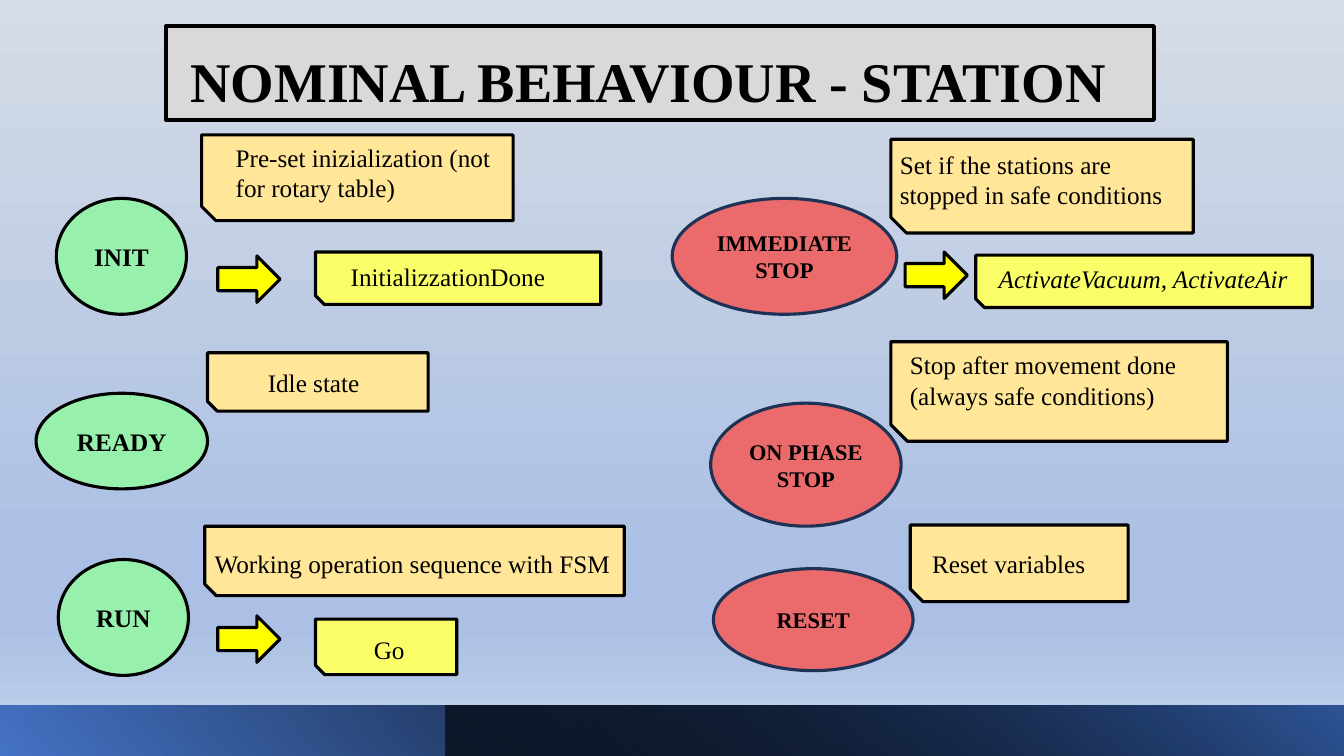
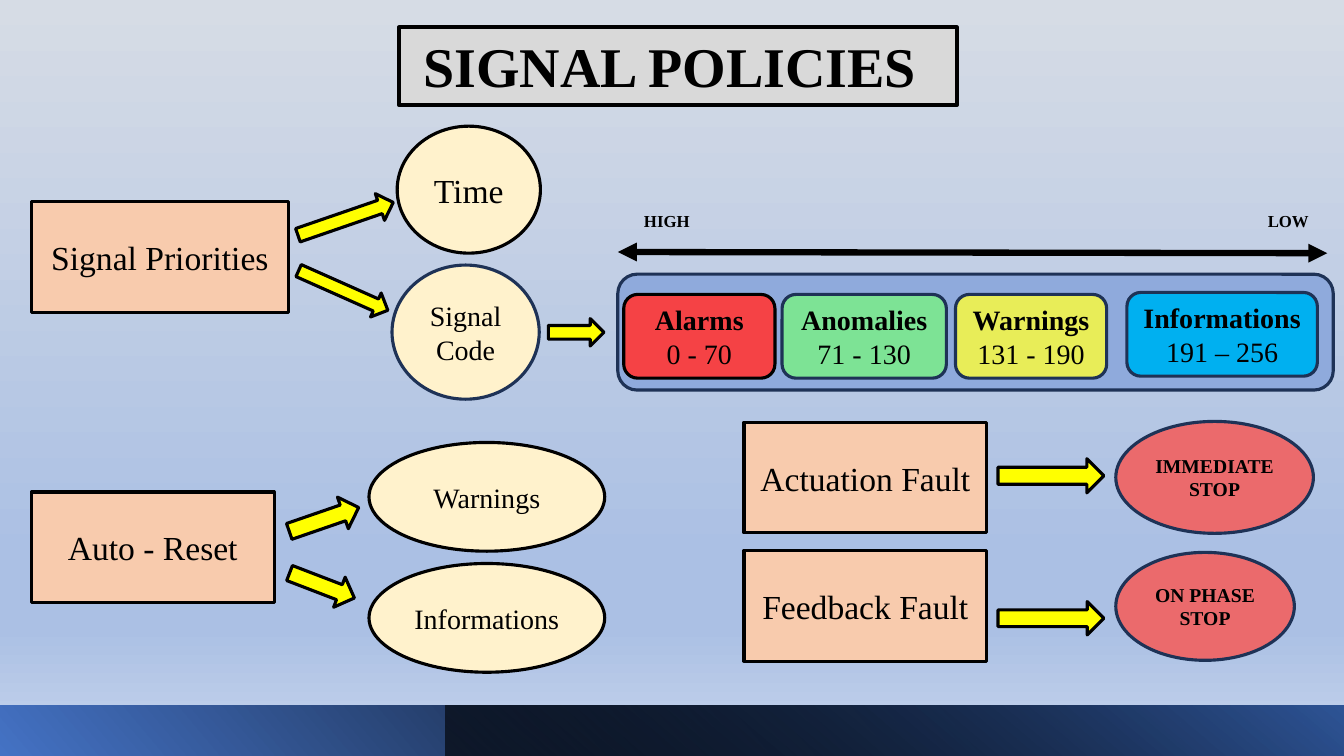
"""Build the station behaviour and signal policy slides."""
from dataclasses import dataclass

from lxml.etree import SubElement
from pptx import Presentation
from pptx.dml.color import RGBColor
from pptx.enum.shapes import MSO_CONNECTOR, MSO_SHAPE
from pptx.enum.text import MSO_ANCHOR, MSO_AUTO_SIZE, PP_ALIGN
from pptx.oxml.ns import qn
from pptx.util import Cm, Pt


@dataclass(frozen=True)
class Theme:
    """Colours, type sizes and line widths of the deck."""
    font: str = "Times New Roman"
    black: str = "000000"
    navy: str = "1E3256"
    grey: str = "D9D9D9"
    green: str = "97F0AC"
    red: str = "EB6A6C"
    sand: str = "FFE699"
    lemon: str = "FAFF69"
    yellow: str = "FFFF00"
    cream: str = "FFF2CC"
    peach: str = "F8CBAD"
    panel: str = "8FAADC"
    alarm: str = "F54245"
    anomaly: str = "7DE395"
    warning: str = "E8ED58"
    information: str = "00B0F0"
    title_size: int = 40
    topic_size: int = 24
    code_size: int = 20
    body_size: int = 18
    stop_size: int = 16
    small_stop_size: int = 14
    scale_size: int = 12
    title_line: float = 3
    shape_line: float = 2.25
    scale_line: float = 4.5


THEME = Theme()
PAGE_WIDTH, PAGE_HEIGHT = 33.87, 19.05
BAND_TOP, BAND_HEIGHT, BAND_SPLIT = 17.78, 1.27, 11.22

BACKDROP = {"stops": [(0, "D6DCE5", 100), (74, "ABC0E4", 100), (83, "ABC0E4", 100),
                      (100, "C7D5ED", 100)], "angle": 90}
BANDS = [
    {"left": 0, "rotation": 180, "angle": 40,
     "stops": [(0, "4472C4", 100), (78, "000000", 100)]},
    {"left": BAND_SPLIT, "rotation": 0, "angle": 230,
     "stops": [(0, "000000", 63), (100, "2F5597", 100)]},
]

ELLIPSE, SNIPPED = MSO_SHAPE.OVAL, MSO_SHAPE.SNIP_1_RECTANGLE
STATE = {"preset": ELLIPSE, "fill": THEME.green, "size": THEME.body_size, "bold": True}
STOP = {"preset": ELLIPSE, "fill": THEME.red, "line": THEME.navy,
        "size": THEME.stop_size, "bold": True}
SMALL_STOP = {**STOP, "size": THEME.small_stop_size}
NOTE = {"preset": SNIPPED, "fill": THEME.sand, "rotation": 180}
SIGNAL = {**NOTE, "fill": THEME.lemon}
ARROW = {"preset": MSO_SHAPE.RIGHT_ARROW, "fill": THEME.yellow}
TOPIC = {"preset": MSO_SHAPE.RECTANGLE, "fill": THEME.peach, "size": THEME.topic_size}
OPTION = {"preset": ELLIPSE, "fill": THEME.cream, "size": THEME.code_size}
CODE = {"preset": MSO_SHAPE.ROUNDED_RECTANGLE, "line": THEME.navy,
        "size": THEME.code_size, "bold": True}

STATION_TITLE = ("NOMINAL BEHAVIOUR - STATION", (4.19, 0.66, 24.89, 2.36))
STATES = [
    (STATE, "INIT", (1.42, 5, 3.28, 2.92)),
    (STATE, "READY", (0.91, 9.91, 4.32, 2.41)),
    (STATE, "RUN", (1.47, 14.1, 3.28, 2.92)),
    (STOP, "IMMEDIATE STOP", (16.94, 5, 5.66, 2.92)),
    (STOP, "ON PHASE STOP", (17.91, 10.16, 4.8, 3.1)),
    (STOP, "RESET", (17.98, 14.33, 5.03, 2.57)),
]
NOTES = [
    (NOTE, (5.08, 3.4, 7.85, 2.16), "Pre-set inizialization (not for rotary table)",
     (5.69, 3.45, 7.19, 1.8), False),
    (NOTE, (5.23, 8.89, 5.56, 1.47), "Idle state", (6.5, 9.14, 3.3, 1.02), False),
    (NOTE, (5.16, 13.26, 10.57, 1.75), "Working operation sequence with FSM",
     (5.16, 13.69, 11, 1.02), False),
    (NOTE, (22.45, 3.51, 7.62, 2.36), "Set if the stations are stopped in safe conditions",
     (22.43, 3.63, 7.29, 1.8), False),
    (NOTE, (22.45, 8.61, 8.48, 2.51), "Stop after movement done (always safe conditions)",
     (22.68, 8.69, 7.87, 1.8), False),
    (NOTE, (22.94, 13.23, 5.49, 1.93), "Reset variables", (23.24, 13.69, 4.6, 1.02), False),
    (SIGNAL, (7.95, 6.35, 7.19, 1.32), "InitializzationDone", (8.59, 6.45, 5.87, 1.02), False),
    (SIGNAL, (7.95, 15.6, 3.56, 1.4), "Go", (9.17, 15.85, 1.5, 1.02), False),
    (SIGNAL, (24.59, 6.43, 8.48, 1.32), "ActivateVacuum, ActivateAir",
     (24.92, 6.5, 7.9, 1.02), True),
]
STATION_ARROWS = [(left, top, 1.57, 1.17)
                  for left, top in [(5.49, 6.45), (5.49, 15.52), (22.81, 6.35)]]

POLICY_TITLE = ("SIGNAL POLICIES", (10.06, 0.69, 14.05, 1.96))
POLICIES = [
    (TOPIC, "Signal Priorities", (0.79, 5.08, 6.48, 2.79)),
    (TOPIC, "Auto - Reset", (0.79, 12.4, 6.12, 2.79)),
    (TOPIC, "Actuation Fault", (18.75, 10.64, 6.12, 2.79)),
    (TOPIC, "Feedback Fault", (18.75, 13.87, 6.12, 2.79)),
    ({**OPTION, "size": THEME.topic_size}, "Time", (10.01, 3.18, 3.61, 3.2)),
    ({**OPTION, "line": THEME.navy}, "Signal Code", (9.88, 6.68, 3.71, 3.38)),
    (OPTION, "Warnings", (9.3, 11.15, 5.94, 2.74)),
    (OPTION, "Informations", (9.3, 14.2, 5.94, 2.74)),
    (SMALL_STOP, "IMMEDIATE STOP", (28.12, 10.62, 4.98, 2.82)),
    (SMALL_STOP, "ON PHASE STOP", (28.12, 13.92, 4.5, 2.72)),
    ({**CODE, "fill": THEME.panel}, "", (15.57, 6.91, 18.03, 2.92)),
    ({**CODE, "fill": THEME.alarm, "line": THEME.black}, "Alarms\n0 - 70",
     (15.72, 7.42, 3.81, 2.11)),
    ({**CODE, "fill": THEME.anomaly}, "Anomalies\n71 - 130", (19.71, 7.42, 4.14, 2.11)),
    ({**CODE, "fill": THEME.warning}, "Warnings\n131 - 190", (24.08, 7.42, 3.81, 2.11)),
    ({**CODE, "fill": THEME.information}, "Informations\n191 – 256", (28.4, 7.37, 4.8, 2.11)),
]
POLICY_ARROWS = [
    (341, (7.44, 5.16, 2.54, 0.71)),
    (24, (7.42, 6.99, 2.46, 0.66)),
    (341, (7.24, 12.67, 1.85, 0.84)),
    (21, (7.24, 14.35, 1.75, 0.81)),
    (0, (13.82, 8.03, 1.4, 0.69)),
    (0, (25.15, 11.56, 2.67, 0.86)),
    (0, (25.15, 15.16, 2.67, 0.84)),
]
SCALE_ENDS = (15.57, 6.35, 33.45, 6.38)
SCALE_LABELS = [("HIGH", (15.98, 5.18, 2.1, 0.76)), ("LOW", (31.7, 5.18, 2.1, 0.76))]


def lengths(values):
    """Turn centimetre values into lengths."""
    return [Cm(value) for value in values]


def set_gradient(owner, fill, stops, angle):
    """Fill an object with a linear gradient of any number of stops."""
    fill.gradient()
    gradient = owner.element.find(".//" + qn("a:gradFill"))
    gradient.clear()
    gradient.set("rotWithShape", "1")
    stop_list = SubElement(gradient, qn("a:gsLst"))
    for position, color, opacity in stops:
        stop = SubElement(stop_list, qn("a:gs"), pos=str(position * 1000))
        tint = SubElement(stop, qn("a:srgbClr"), val=color)
        if opacity < 100:
            SubElement(tint, qn("a:alpha"), val=str(opacity * 1000))
    SubElement(gradient, qn("a:lin"), ang=str(angle * 60000), scaled="0")


def paint(shape, fill, line, width):
    """Give a shape a solid fill and an outline."""
    shape.fill.solid()
    shape.fill.fore_color.rgb = RGBColor.from_string(fill)
    shape.line.color.rgb = RGBColor.from_string(line)
    shape.line.width = Pt(width)


def write(frame, text, align, **formats):
    """Write lines of text; only the first line keeps bold."""
    frame.word_wrap = True
    frame.text = text
    for index, para in enumerate(frame.paragraphs):
        para.alignment = align
        for span in para.runs:
            span.font.color.rgb = RGBColor.from_string(THEME.black)
            values = {"name": THEME.font, "bold": False, **formats}
            if index:
                values["bold"] = False
            for name, value in values.items():
                setattr(span.font, name, value)


def add_block(page, style, box, text="", rotation=0):
    """Add a preset shape in a style, with centred text if there is any."""
    shape = page.shapes.add_shape(style["preset"], *lengths(box))
    shape.shadow.inherit = False
    shape.rotation = style.get("rotation", rotation)
    paint(shape, style["fill"], style.get("line", THEME.black), THEME.shape_line)
    if text:
        shape.text_frame.vertical_anchor = MSO_ANCHOR.MIDDLE
        write(shape.text_frame, text, PP_ALIGN.CENTER,
              size=Pt(style["size"]), bold=style.get("bold", False))


def add_label(page, text, box, size, **formats):
    """Add a left-aligned text box."""
    label = page.shapes.add_textbox(*lengths(box))
    write(label.text_frame, text, PP_ALIGN.LEFT, size=Pt(size), **formats)


def add_page(deck, title, box):
    """Add a slide with the shared bands and a framed title."""
    page = deck.slides.add_slide(deck.slide_layouts[5])
    for band in BANDS:
        left = band["left"]
        shape = page.shapes.add_shape(
            MSO_SHAPE.RECTANGLE, *lengths((left, BAND_TOP, PAGE_WIDTH - left, BAND_HEIGHT)))
        shape.shadow.inherit = False
        shape.rotation = band["rotation"]
        shape.element.spPr.find(qn("a:xfrm")).set("flipH", "1")
        set_gradient(shape, shape.fill, band["stops"], band["angle"])
        shape.line.fill.background()
    heading = page.shapes.title
    for name, value in zip(("left", "top", "width", "height"), lengths(box)):
        setattr(heading, name, value)
    paint(heading, THEME.grey, THEME.black, THEME.title_line)
    frame = heading.text_frame
    write(frame, title, PP_ALIGN.LEFT, size=Pt(THEME.title_size), bold=True)
    frame.paragraphs[0].line_spacing = 0.9
    settings = {"auto_size": MSO_AUTO_SIZE.NONE, "vertical_anchor": MSO_ANCHOR.BOTTOM,
                "margin_left": Cm(0.61)}
    for name, value in settings.items():
        setattr(frame, name, value)
    return page


def add_scale(page):
    """Add the double-headed priority scale and its labels."""
    scale = page.shapes.add_connector(MSO_CONNECTOR.STRAIGHT, *lengths(SCALE_ENDS))
    scale.line.color.rgb = RGBColor.from_string(THEME.black)
    scale.line.width = Pt(THEME.scale_line)
    outline = scale.line._get_or_add_ln()
    for end in ("a:headEnd", "a:tailEnd"):
        SubElement(outline, qn(end), type="triangle")
    SubElement(scale.element.spPr, qn("a:effectLst"))
    for text, box in SCALE_LABELS:
        add_label(page, text, box, THEME.scale_size, bold=True)


def build_station(deck):
    """Build the slide on station behaviour."""
    page = add_page(deck, *STATION_TITLE)
    for style, text, box in STATES:
        add_block(page, style, box, text)
    for style, box, text, text_box, italic in NOTES:
        add_block(page, style, box)
        add_label(page, text, text_box, THEME.body_size, italic=italic)
    for box in STATION_ARROWS:
        add_block(page, ARROW, box)


def build_policies(deck):
    """Build the slide on signal policies."""
    page = add_page(deck, *POLICY_TITLE)
    for style, text, box in POLICIES:
        add_block(page, style, box, text)
    for rotation, box in POLICY_ARROWS:
        add_block(page, ARROW, box, rotation=rotation)
    add_scale(page)


def main():
    """Build and save the deck."""
    deck = Presentation()
    deck.slide_width, deck.slide_height = lengths((PAGE_WIDTH, PAGE_HEIGHT))
    master = deck.slide_master
    set_gradient(master, master.background.fill, **BACKDROP)
    build_station(deck)
    build_policies(deck)
    deck.save("out.pptx")


if __name__ == "__main__":
    main()
